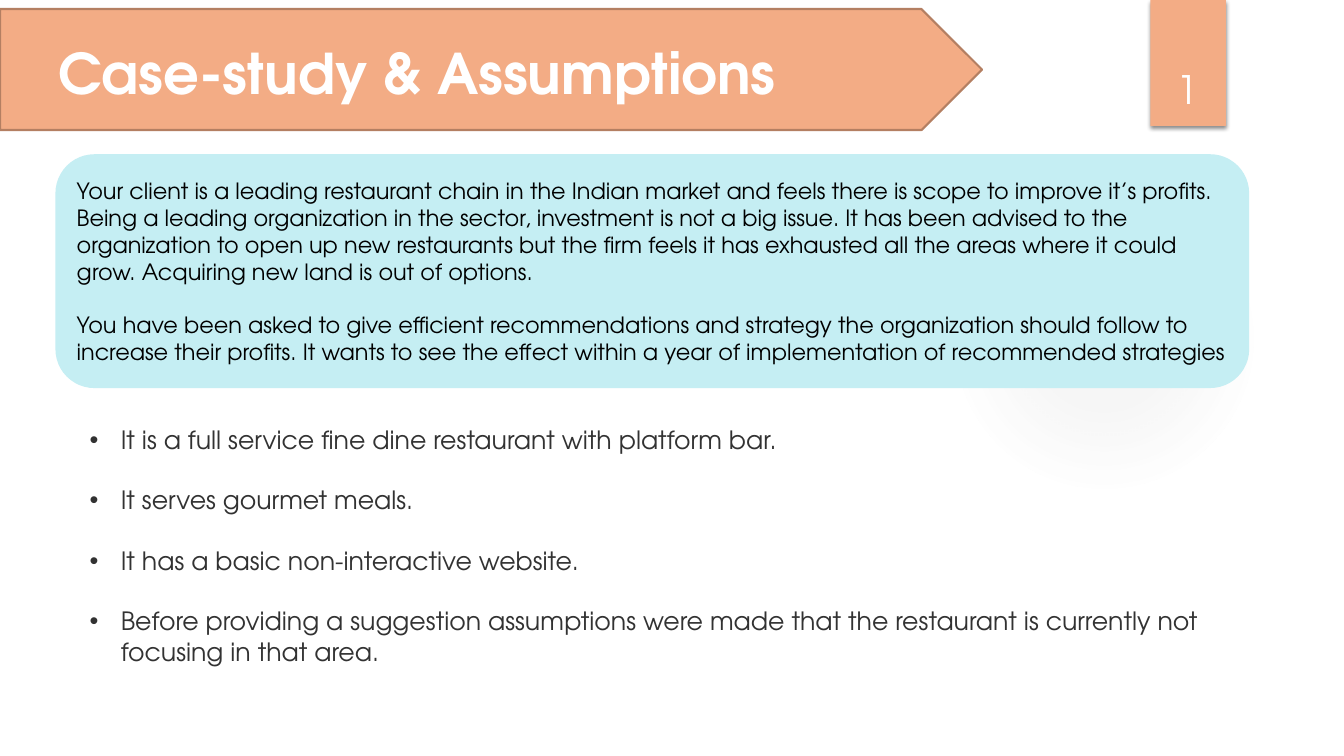
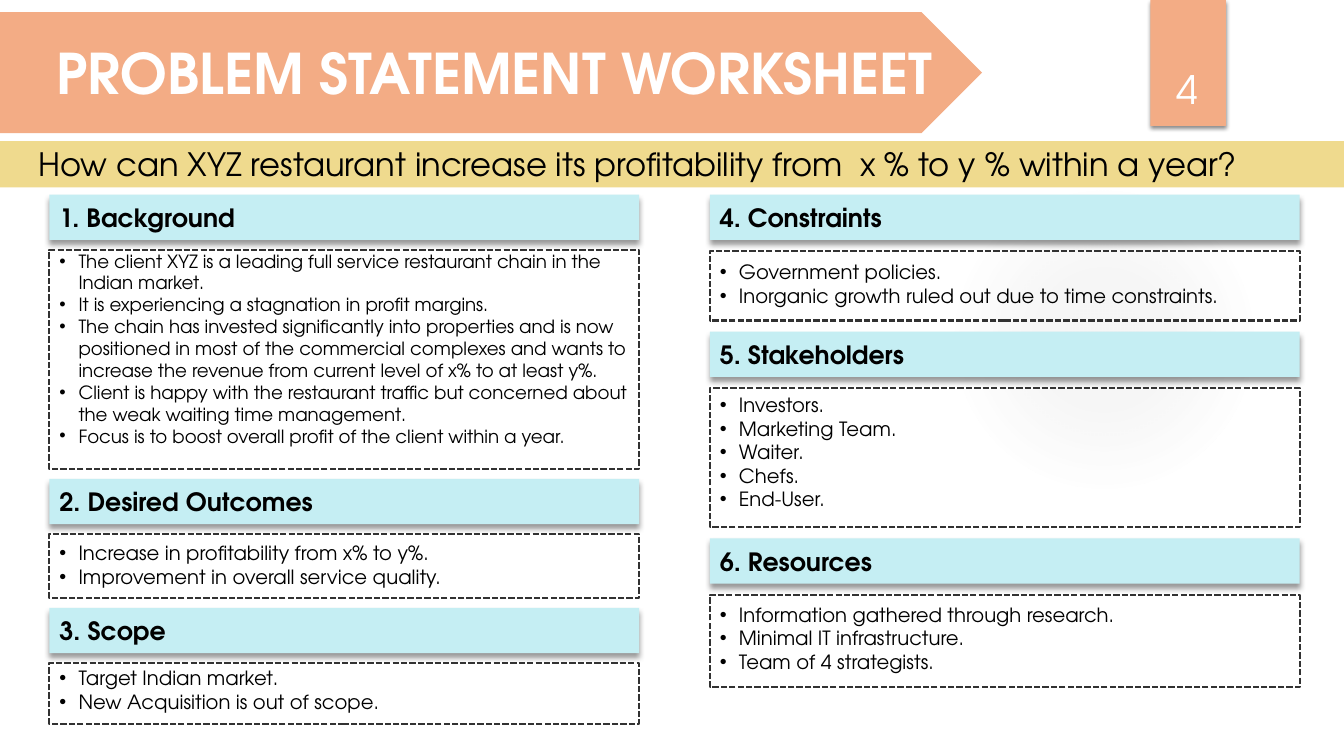
from lxml.etree import SubElement
from pptx import Presentation
from pptx.dml.color import RGBColor
from pptx.enum.dml import MSO_LINE
from pptx.enum.shapes import MSO_SHAPE
from pptx.enum.text import MSO_ANCHOR, PP_ALIGN
from pptx.oxml import parse_xml
from pptx.oxml.ns import nsdecls, qn
from pptx.util import Inches, Pt

COLORS = {
    "orange": "F3AC85", "rust": "B47F62", "aqua": "C5EEF3", "sand": "EFDA8E",
    "white": "FFFFFF", "black": "000000", "ink": "323232", "glow": "848484",
}
FONT = "TeX Gyre Adventor"
STYLES = {
    "title": {"size": Pt(40), "bold": True},
    "number": {"size": Pt(28), "bold": False},
    "question": {"size": Pt(23), "bold": False},
    "heading": {"size": Pt(18), "bold": True},
    "list": {"size": Pt(18), "bold": False},
    "brief": {"size": Pt(16), "bold": False},
    "item": {"size": Pt(14), "bold": False},
    "small item": {"size": Pt(13), "bold": False},
}


def add_box(page, kind, at, fill=None, line=None, shadow=None):
    """Preset shape; shadow is (opacity %, blur pt, distance pt), cast downwards."""
    box = page.shapes.add_shape(kind, *[Inches(length) for length in at])
    box.shadow.inherit = False
    if fill:
        box.fill.solid()
        box.fill.fore_color.rgb = RGBColor.from_string(COLORS[fill])
    else:
        box.fill.background()
    if line:
        box.line.color.rgb = RGBColor.from_string(COLORS[line])
        box.line.width = Pt(1.5)
    else:
        box.line.fill.background()
    if shadow:
        opacity, blur, distance = shadow
        effects = box._element.spPr.find(qn("a:effectLst"))
        effects.append(parse_xml(
            f'<a:outerShdw {nsdecls("a")} blurRad="{Pt(blur)}" dist="{Pt(distance)}" '
            f'dir="5400000" algn="t" rotWithShape="0"><a:srgbClr val="{COLORS["black"]}">'
            f'<a:alpha val="{opacity * 1000}"/></a:srgbClr></a:outerShdw>'))
    return box


def write(box, texts, style, color="black", anchor=MSO_ANCHOR.TOP, align=PP_ALIGN.LEFT,
          wrap=True, bullet=0, gap=0):
    """Fill a box with paragraphs; bullet is the hanging indent, gap the space between."""
    frame = box.text_frame
    frame.word_wrap = wrap
    frame.vertical_anchor = anchor
    for index, text in enumerate(texts):
        para = frame.paragraphs[0] if index == 0 else frame.add_paragraph()
        para.alignment = align
        para.space_before = Pt(gap if index else 0)
        span = para.add_run()
        span.text = text
        span.font.name = FONT
        span.font.color.rgb = RGBColor.from_string(COLORS[color])
        for name, value in STYLES[style].items():
            setattr(span.font, name, value)
        if bullet:
            properties = para._p.get_or_add_pPr()
            properties.set("marL", str(Inches(bullet)))
            properties.set("indent", str(-Inches(bullet)))
            SubElement(properties, qn("a:buFont"), typeface="Arial")
            SubElement(properties, qn("a:buChar"), char="•")


deck = Presentation()
deck.slide_width, deck.slide_height = Inches(13.33), Inches(7.5)

# Shared frame: soft glow, number tab, arrow band and title
headers = [
    {"title": "Case-study & Assumptions", "number": "1", "band top": 0.09,
     "outline": "rust", "title at": (0.48, 0.33, 7.39, 0.77)},
    {"title": "PROBLEM STATEMENT WORKSHEET", "number": "4", "band top": 0.12,
     "outline": None, "title at": (0.46, 0.33, 9.05, 0.77)},
]
pages = []
for header in headers:
    page = deck.slides.add_slide(deck.slide_layouts[6])
    pages.append(page)

    glow = add_box(page, MSO_SHAPE.OVAL, (9.41, 1.83, 3.08, 3.08))
    stops = "".join(
        f'<a:gs pos="{position * 1000}"><a:srgbClr val="{COLORS["glow"]}">'
        f'<a:alpha val="{opacity * 1000}"/></a:srgbClr></a:gs>'
        for position, opacity in [(0, 7), (36, 6), (69, 0)])
    empty_fill = glow._element.spPr.find(qn("a:noFill"))
    glow._element.spPr.replace(empty_fill, parse_xml(
        f'<a:gradFill {nsdecls("a")} rotWithShape="1"><a:gsLst>{stops}</a:gsLst>'
        '<a:path path="circle"><a:fillToRect l="50000" t="50000" r="50000" b="50000"/>'
        '</a:path></a:gradFill>'))

    add_box(page, MSO_SHAPE.RECTANGLE, (11.41, 0, 0.75, 1.25), "orange", shadow=(45, 3, 2))
    add_box(page, MSO_SHAPE.PENTAGON, (0, header["band top"], 9.74, 1.2),
            "orange", header["outline"])
    title = page.shapes.add_textbox(*[Inches(length) for length in header["title at"]])
    write(title, [header["title"]], "title", "white", wrap=False)
    number = page.shapes.add_textbox(Inches(11.32), Inches(0.32), Inches(0.92), Inches(0.84))
    write(number, [header["number"]], "number", "white", MSO_ANCHOR.BOTTOM, PP_ALIGN.CENTER)

case_page, worksheet_page = pages

# Case study: the brief
brief = add_box(case_page, MSO_SHAPE.ROUNDED_RECTANGLE, (0.55, 1.53, 11.84, 2.32), "aqua")
write(brief, [
    "Your client is a leading restaurant chain in the Indian market and feels there is scope "
    "to improve it’s profits. Being a leading organization in the sector, investment is not a "
    "big issue. It has been advised to the organization to open up new restaurants but the "
    "firm feels it has exhausted all the areas where it could grow. Acquiring new land is out "
    "of options.",
    "You have been asked to give efficient recommendations and strategy the organization "
    "should follow to increase their profits. It wants to see the effect within a year of "
    "implementation of recommended strategies",
], "brief", anchor=MSO_ANCHOR.MIDDLE, gap=19.2)

# Case study: assumptions
assumptions = case_page.shapes.add_textbox(Inches(0.79), Inches(4.16), Inches(11.6), Inches(2.52))
write(assumptions, [
    "It is a full service fine dine restaurant with platform bar.",
    "It serves gourmet meals.",
    "It has a basic non-interactive website.",
    "Before providing a suggestion assumptions were made that the restaurant is currently "
    "not focusing in that area.",
], "list", "ink", bullet=0.31, gap=21.6)

# Worksheet: key question
add_box(worksheet_page, MSO_SHAPE.RECTANGLE, (0, 1.4, 13.33, 0.46), "sand")
question = worksheet_page.shapes.add_textbox(
    Inches(0.28), Inches(1.38), Inches(12.43), Inches(0.49))
write(question, ["How can XYZ restaurant increase its profitability from  x % to y % within a year?"],
      "question")

# Worksheet: columns of (heading, panel height, text offset, text style, items)
columns = [
    {"left": 0.49, "gap": 0.1, "sections": [
        ("1. Background", 2.17, -0.05, "small item", [
            "The client XYZ is a leading full service restaurant chain in the Indian market.",
            "It is experiencing a stagnation in profit margins.",
            "The chain has invested significantly into properties and is now positioned in most "
            "of the commercial complexes and wants to increase the revenue from current level "
            "of x% to at least y%.",
            "Client is happy with the restaurant traffic but concerned about the weak waiting "
            "time management.",
            "Focus is to boost overall profit of the client within a year."]),
        ("2. Desired Outcomes", 0.63, 0.02, "item", [
            "Increase in profitability from x% to y%.",
            "Improvement in overall service quality."]),
        ("3. Scope", 0.6, -0.02, "item", [
            "Target Indian market.",
            "New Acquisition is out of scope."]),
    ]},
    {"left": 7.04, "gap": 0.11, "sections": [
        ("4. Constraints", 0.69, 0.04, "item", [
            "Government policies.",
            "Inorganic growth ruled out due to time constraints."]),
        ("5. Stakeholders", 1.38, 0, "item", [
            "Investors.", "Marketing Team.", "Waiter.", "Chefs.", "End-User."]),
        ("6. Resources", 0.92, 0.03, "item", [
            "Information gathered through research.",
            "Minimal IT infrastructure.",
            "Team of 4 strategists."]),
    ]},
]
column_width, heading_height = 5.85, 0.45
for column in columns:
    left, gap, top = column["left"], column["gap"], 1.93
    for heading_text, panel_height, offset, style, items in column["sections"]:
        heading = add_box(worksheet_page, MSO_SHAPE.RECTANGLE,
                          (left, top, column_width, heading_height), "aqua", shadow=(40, 4, 3))
        write(heading, [heading_text], "heading", anchor=MSO_ANCHOR.MIDDLE)
        top += heading_height + gap
        panel = add_box(worksheet_page, MSO_SHAPE.RECTANGLE,
                        (left, top, column_width, panel_height), line="ink")
        panel.line.dash_style = MSO_LINE.SQUARE_DOT
        notes = worksheet_page.shapes.add_textbox(
            Inches(left), Inches(top + offset), Inches(column_width), Inches(panel_height - 0.1))
        write(notes, items, style, bullet=0.19)
        top += panel_height + gap

deck.save("out.pptx")
